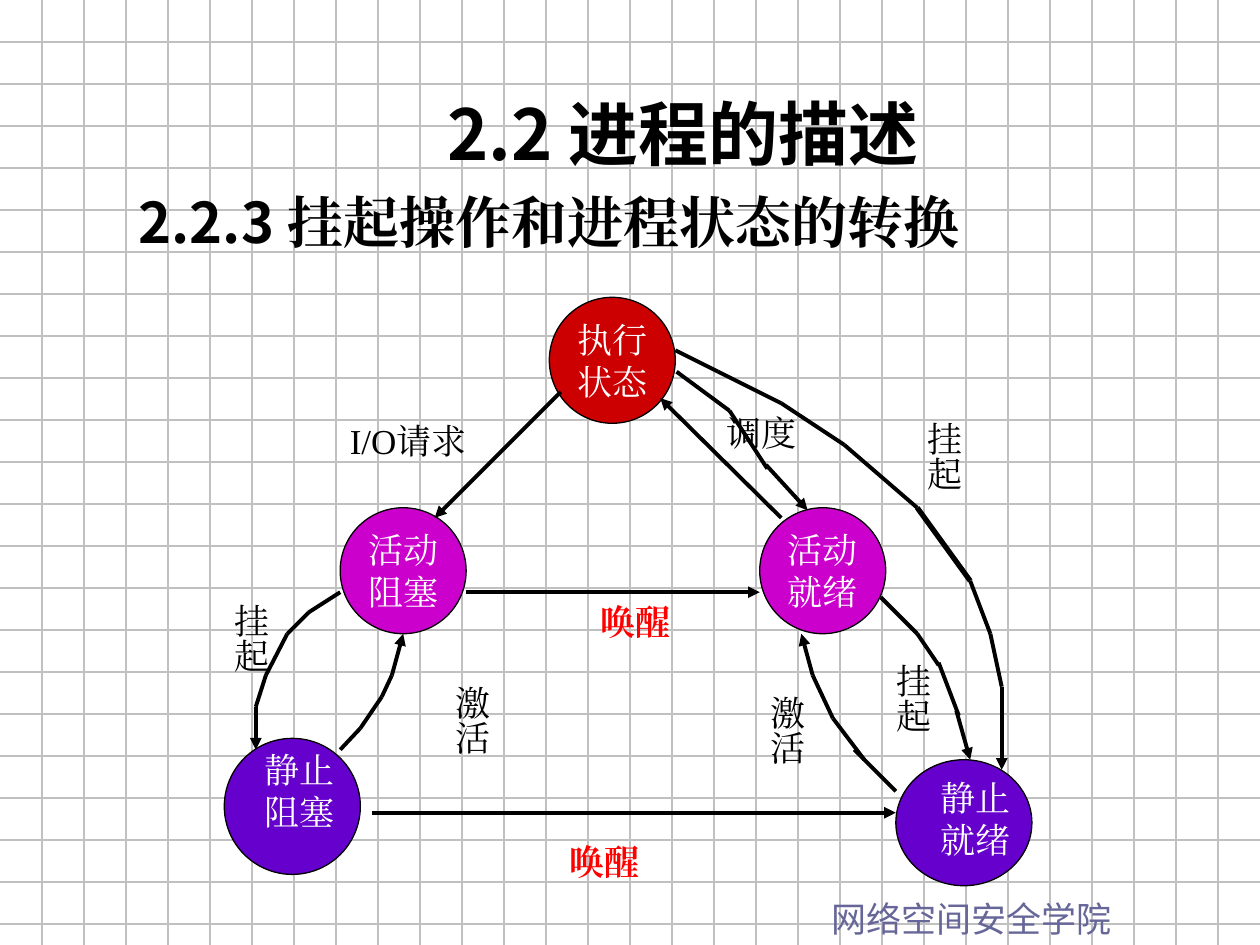
from itertools import pairwise

from pptx import Presentation
from pptx.dml.color import RGBColor
from pptx.enum.shapes import MSO_CONNECTOR as Connector, MSO_SHAPE as Shape
from pptx.enum.text import MSO_ANCHOR as Anchor, MSO_AUTO_SIZE as AutoSize, PP_ALIGN as Align
from pptx.oxml.ns import qn
from pptx.util import Inches, Pt
from lxml.etree import SubElement

COLUMNS, ROWS = 100, 75
SERIF, SANS_JP, SANS_SC = "Times New Roman", "Noto Sans CJK JP", "Noto Sans CJK SC"
BLACK, WHITE, RED = "000000", "FFFFFF", "FF0000"


def paint(target, colour):
    target.rgb = RGBColor.from_string(colour)


class SlideArtist:
    def __init__(self, deck):
        self.cell_width = deck.slide_width / COLUMNS
        self.cell_height = deck.slide_height / ROWS
        self.page = deck.slides.add_slide(deck.slide_layouts[1])
        self.shapes = self.page.shapes

    def point(self, column, row):
        return round(column * self.cell_width), round(row * self.cell_height)

    def area(self, left, top, width, height):
        return *self.point(left, top), *self.point(width, height)

    def frame(self, shape, wrap=True, anchor=Anchor.TOP, vertical=False):
        frame = shape.text_frame
        frame.auto_size = AutoSize.NONE
        frame.word_wrap = wrap
        frame.vertical_anchor = anchor
        side, end = (0.05, 0.1) if vertical else (0.1, 0.05)
        frame.margin_left = frame.margin_right = Inches(side)
        frame.margin_top = frame.margin_bottom = Inches(end)
        if vertical:
            frame._txBody.bodyPr.set("vert", "eaVert")
        return frame

    def run(self, para, text, size=20, font=SERIF, colour=BLACK, bold=False):
        span = para.add_run()
        span.text = text
        span.font.size, span.font.name, span.font.bold = Pt(size), font, bold
        paint(span.font.color, colour)
        SubElement(span.font._element, qn("a:ea")).set("typeface", font)

    def lines(self, frame, texts, align=Align.CENTER, **style):
        for index, text in enumerate(texts):
            para = frame.add_paragraph() if index else frame.paragraphs[0]
            para.alignment = align
            self.run(para, text, **style)

    def label(self, area, *texts, wrap=False, vertical=False, **style):
        box = self.shapes.add_textbox(*self.area(*area))
        self.lines(self.frame(box, wrap, vertical=vertical), texts, **style)

    def placeholder(self, index, area):
        holder = self.page.placeholders[index]
        holder.left, holder.top, holder.width, holder.height = self.area(*area)
        self.shapes._spTree.append(holder._element)
        return self.frame(holder)

    def title(self, area, text):
        self.lines(self.placeholder(0, area), [text], size=40, font=SANS_JP, bold=True)

    def heading(self, area, number, text):
        para = self.placeholder(1, area).paragraphs[0]
        para.line_spacing = 1.2
        para.space_before = Pt(0)
        properties = para._p.get_or_add_pPr()
        properties.set("marL", str(Inches(0.5)))
        properties.set("indent", str(Inches(-0.5)))
        SubElement(properties, qn("a:buNone"))
        self.run(para, number, size=32, font=SANS_SC, bold=True)
        self.run(para, text, size=32, bold=True)

    def state(self, area, fill, *texts):
        circle = self.shapes.add_shape(Shape.OVAL, *self.area(*area))
        circle.shadow.inherit = False
        circle.fill.solid()
        paint(circle.fill.fore_color, fill)
        paint(circle.line.color, BLACK)
        circle.line.width = Pt(0.75)
        self.lines(self.frame(circle, False, Anchor.MIDDLE), texts, colour=WHITE)

    def line(self, start, end, colour=BLACK, width=2.25, arrow=False):
        line = self.shapes.add_connector(
            Connector.STRAIGHT, *self.point(*start), *self.point(*end))
        paint(line.line.color, colour)
        line.line.width = Pt(width)
        if arrow:
            SubElement(line.line._get_or_add_ln(), qn("a:tailEnd")).set("type", "triangle")
        SubElement(line._element.spPr, qn("a:effectLst"))

    def route(self, *points, arrow=True, width=2.25):
        for start, end in pairwise(points):
            self.line(start, end, width=width, arrow=arrow and end == points[-1])

    def paper(self, step, colour):
        for index in range(1, int(ROWS / step) + 1):
            self.line((0, index * step), (COLUMNS, index * step), colour, 0.75)
        for index in range(1, int(COLUMNS / step)):
            self.line((index * step, 0), (index * step, ROWS), colour, 0.75)


def main():
    deck = Presentation()
    deck.slide_width, deck.slide_height = Inches(10), Inches(7.5)
    artist = SlideArtist(deck)

    artist.paper(10 / 3, "C0C0C0")
    artist.label((65, 70.7, 35, 4.4), "网络空间安全学院", wrap=True,
                 align=Align.LEFT, font=SANS_JP, colour="666699")
    artist.heading((10, 13.3, 85.8, 13.8), "2.2.3 ", "挂起操作和进程状态的转换")
    artist.title((14.2, 6.7, 80, 7.7), "2.2 进程的描述")

    artist.state((27, 40.3, 10, 10), "CC00CC", "活动", "阻塞")
    artist.state((43.6, 23.6, 10, 10), "CC0000", "执行", "状态")
    artist.state((60.3, 40.3, 10, 10), "CC00CC", "活动", "就绪")
    artist.state((17.8, 58.6, 10.8, 10.8), "6600CC")
    artist.state((71.1, 60.3, 10.8, 10), "6600CC")
    artist.label((72.8, 61.1, 9.2, 7.7), "静止", "就绪", wrap=True, colour=WHITE)
    artist.label((20, 58.9, 7.5, 7.7), "静止", "阻塞", colour=WHITE)

    artist.route((62, 41.1), (52.4, 31.6))
    artist.route((37, 47), (60.3, 47))
    artist.route((44.5, 31.1), (34.5, 41.1))
    artist.route((29.5, 64.5), (71.1, 64.5))
    artist.route((27, 47), (24.5, 48.6), (22.8, 50.3), (21.1, 53.6), (20.3, 56.1), (20.3, 59.5))
    artist.route((27, 59.5), (28.6, 57.8), (30.3, 55.3), (31.1, 53.6), (32, 50.3))
    artist.route((71.1, 62.8), (67.8, 59.5), arrow=False)
    artist.route((68.6, 60.3), (66.1, 57), (64.5, 53.6), (63.6, 50.3))
    artist.route((69.9, 47.4), (72.8, 50.3), (74.5, 52.8), arrow=False)
    artist.route((74.5, 52.6), (76.1, 56.8), arrow=False)
    artist.route((75.9, 56.4), (77, 60.3))
    artist.route((53.7, 29.5), (57.9, 32.6), (60.9, 37.2), arrow=False)
    artist.route((60.8, 36.9), (64.1, 40.5))
    artist.route((53.6, 27.8), (57, 29.5), (62, 32), (67, 35.3), (72.8, 40.3), arrow=False)
    artist.route((72.8, 40.3), (77, 46.1), arrow=False, width=3)
    artist.route((77, 46.1), (78.6, 50.3), (79.5, 54.5), (79.5, 61.1))

    artist.label((56.7, 32.2, 7.5, 4.4), "调度")
    artist.label((25.3, 32.8, 14.2, 4.4), "I/O请求", wrap=True)
    for left, top in [(46.7, 47.2), (44.2, 66.2)]:
        artist.label((left, top, 7.5, 4.4), "唤醒", colour=RED, bold=True)
    for text, left, top in [("激活", 59.3, 54.2), ("激活", 34.3, 53.4), ("挂起", 69.3, 51.7),
                            ("挂起", 16.8, 46.9), ("挂起", 71.8, 32.5)]:
        artist.label((left, top, 5.3, 6.6), text, vertical=True)

    deck.save("out.pptx")


if __name__ == "__main__":
    main()
